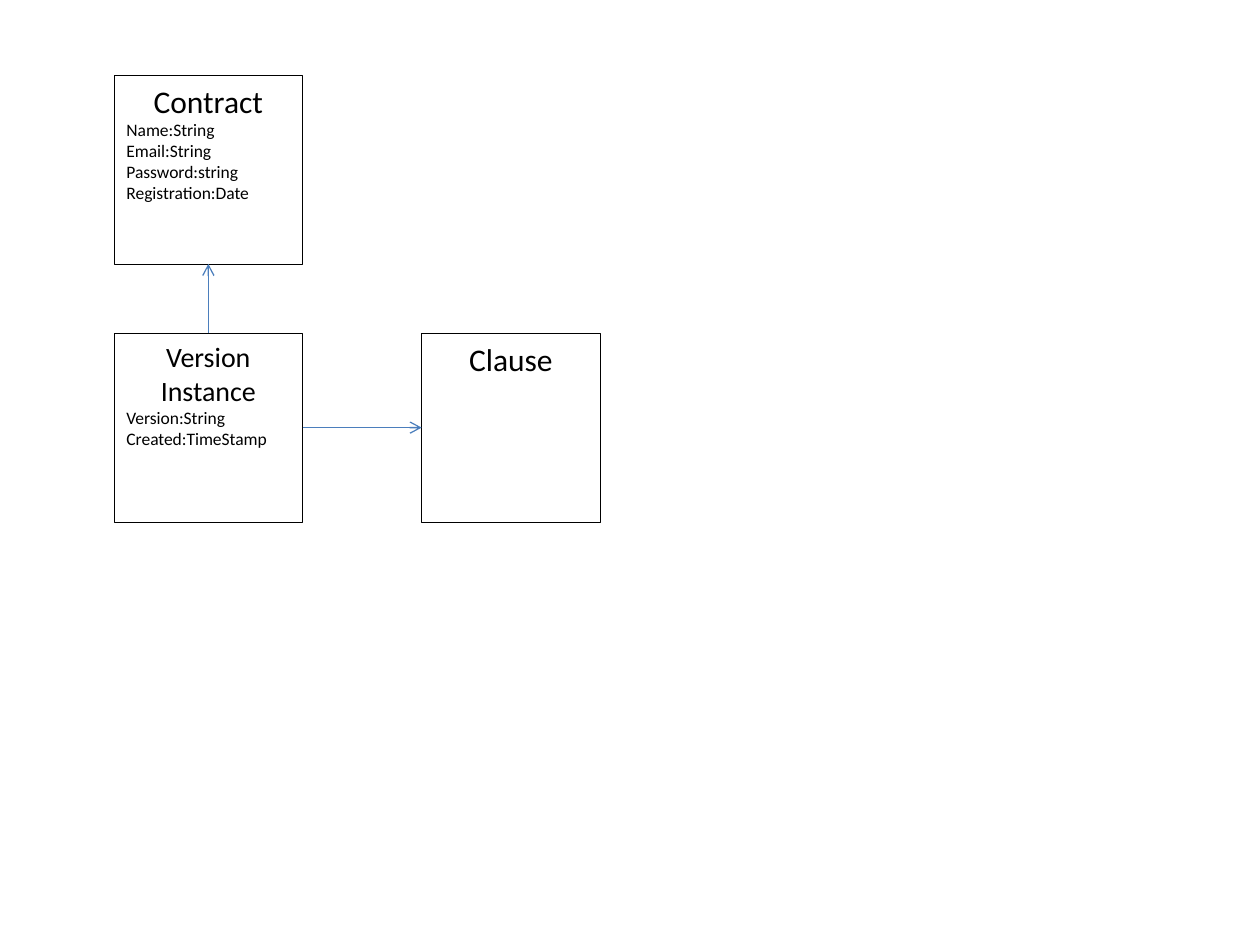
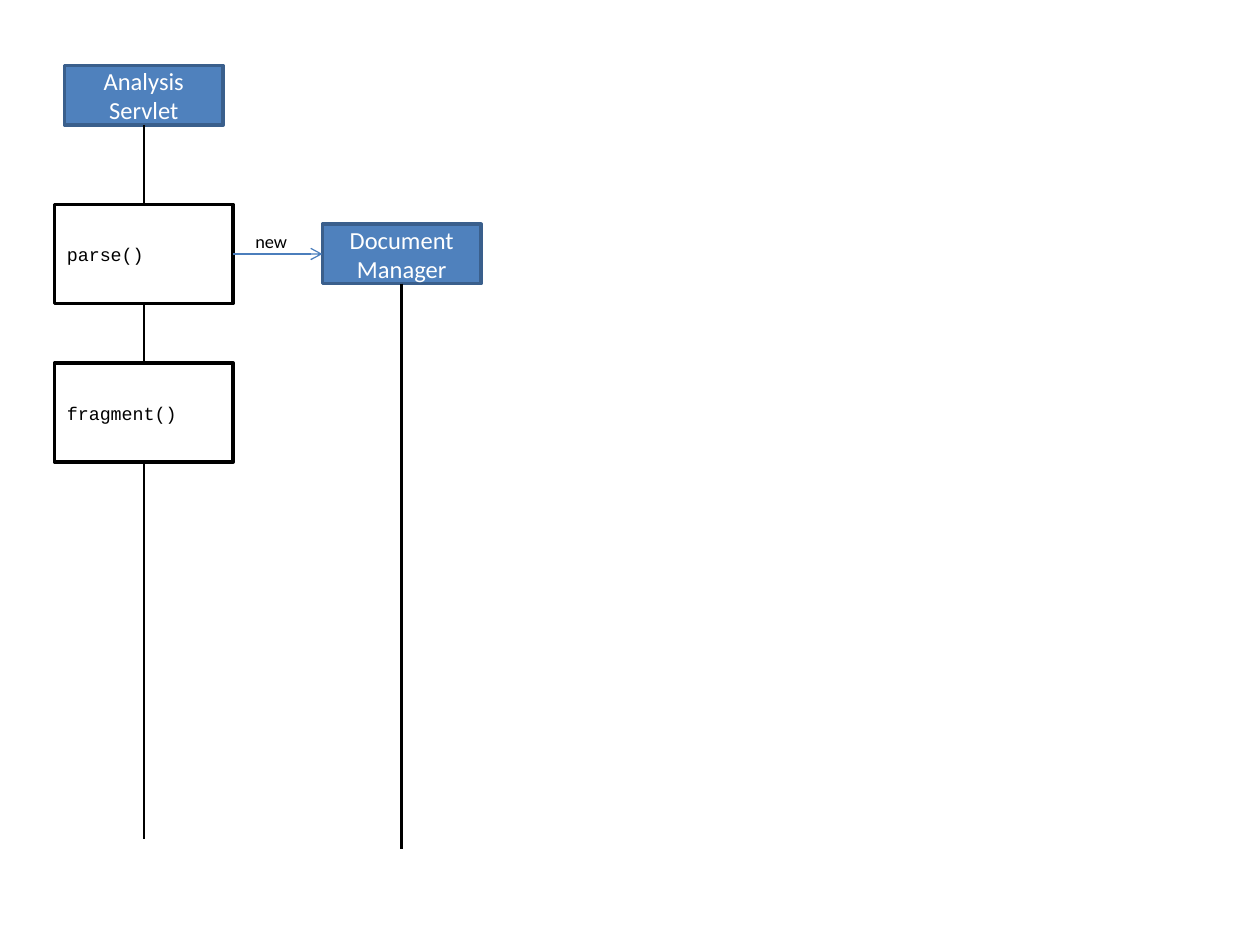
"""Builds a class diagram and a sequence diagram for contract analysis."""
from dataclasses import dataclass

from lxml.etree import SubElement
from pptx import Presentation
from pptx.dml.color import RGBColor
from pptx.enum.shapes import MSO_CONNECTOR, MSO_SHAPE
from pptx.enum.text import MSO_ANCHOR, MSO_AUTO_SIZE, PP_ALIGN
from pptx.oxml.ns import qn
from pptx.util import Inches, Pt


@dataclass(frozen=True)
class Theme:
    black: str = "000000"
    white: str = "FFFFFF"
    blue: str = "4F81BD"
    blue_edge: str = "3A5F8C"
    arrow: str = "4B7EBC"
    body_font: str = "Calibri"
    code_font: str = "Courier New"
    class_size: float = 18
    long_class_size: float = 16
    header_size: float = 14
    call_size: float = 10.5
    field_size: float = 10
    hairline: float = 0.25
    arrow_line: float = 0.75
    lifeline: float = 1.5
    frame: float = 2


theme = Theme()
deck = Presentation()
deck.slide_width, deck.slide_height = Inches(10), Inches(7.5)
cell = deck.slide_width / 254


def write(box, text, size, color=theme.black, font=theme.body_font,
          align=PP_ALIGN.LEFT, anchor=MSO_ANCHOR.TOP, wrap=True, append=False):
    frame = box.text_frame
    frame.word_wrap, frame.vertical_anchor = wrap, anchor
    for index, line in enumerate(text.split("\n")):
        para = frame.add_paragraph() if append or index else frame.paragraphs[0]
        para.alignment = align
        span = para.add_run()
        span.text = line
        span.font.size, span.font.name = Pt(size), font
        span.font.color.rgb = RGBColor.from_string(color)


def draw(page, places, color, weight, fill=None, arrow=False):
    lengths = [round(place * cell) for place in places]
    if fill:
        shape = page.shapes.add_shape(MSO_SHAPE.RECTANGLE, *lengths)
        shape.shadow.inherit = False
        shape.fill.solid()
        shape.fill.fore_color.rgb = RGBColor.from_string(fill)
    else:
        shape = page.shapes.add_connector(MSO_CONNECTOR.STRAIGHT, *lengths)
    shape.line.color.rgb = RGBColor.from_string(color)
    shape.line.width = Pt(weight)
    if arrow:
        SubElement(shape.line._get_or_add_ln(), qn("a:tailEnd"), type="arrow")
    if not fill:
        SubElement(shape._element.spPr, qn("a:effectLst"))
    return shape


blank = deck.slide_layouts[6]

page = deck.slides.add_slide(blank)
side, left, top, row_gap, column_gap = 38, 23, 15.2, 14, 24
second_row = top + side + row_gap
second_column = left + side + column_gap
classes = [
    ("Contract", theme.class_size, left, top, side,
     "Name:String\nEmail:String\nPassword:string\nRegistration:Date"),
    ("Clause", theme.class_size, second_column, second_row, side - 2, ""),
    ("Version Instance", theme.long_class_size, left, second_row, side,
     "Version:String\nCreated:TimeStamp"),
]
for name, size, column, row, width, fields in classes:
    box = draw(page, (column, row, width, side), theme.black, theme.hairline, fill=theme.white)
    write(box, name, size, align=PP_ALIGN.CENTER)
    if fields:
        write(box, fields, theme.field_size, append=True)

center, middle = left + side / 2, second_row + side / 2
for places in [(center, second_row, center, top + side),
               (left + side, middle, second_column, middle)]:
    draw(page, places, theme.arrow, theme.arrow_line, arrow=True)

page = deck.slides.add_slide(blank)
header_width, header_height = 32, 12
call_left, call_width, call_height = 11, 36, 20
first_call, call_step = 41.2, 32
manager_left, manager_top = 65, first_call + (call_height - header_height) / 2
participants = [("Analysis Servlet", 13, 13.2, 169.2),
                ("Document\nManager", manager_left, manager_top, 171.2)]
for name, column, row, end in participants:
    box = draw(page, (column, row, header_width, header_height),
               theme.blue_edge, theme.frame, fill=theme.blue)
    write(box, name, theme.header_size, color=theme.white,
          align=PP_ALIGN.CENTER, anchor=MSO_ANCHOR.MIDDLE)
    center = column + header_width / 2
    draw(page, (center, row + header_height, center, end), theme.black, theme.lifeline)

for index, call in enumerate(["parse()", "fragment()"]):
    box = draw(page, (call_left, first_call + index * call_step, call_width, call_height),
               theme.black, theme.frame, fill=theme.white)
    write(box, call, theme.call_size, font=theme.code_font, anchor=MSO_ANCHOR.MIDDLE)

call_right, middle = call_left + call_width, first_call + call_height / 2
draw(page, (call_right, middle, manager_left, middle),
     theme.arrow, theme.arrow_line, arrow=True)
label = page.shapes.add_textbox(
    *(round(place * cell) for place in (call_right + 2, manager_top, 12, 7.3)))
write(label, "new", theme.call_size, wrap=False)
label.text_frame.auto_size = MSO_AUTO_SIZE.SHAPE_TO_FIT_TEXT

deck.save("out.pptx")
